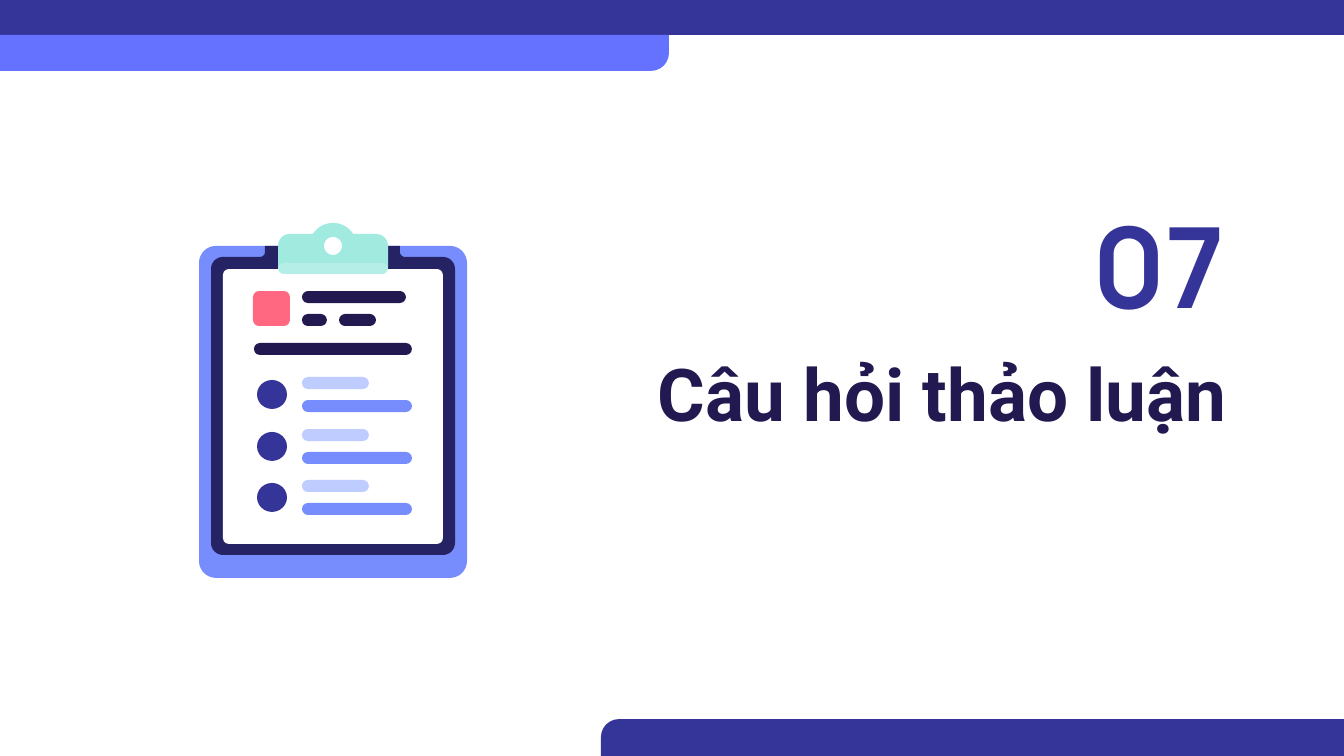
"""Build the section slide "Câu hỏi thảo luận" with its clipboard drawing."""
from dataclasses import dataclass
from math import cos, radians, sin

from lxml import etree
from pptx import Presentation
from pptx.dml.color import RGBColor
from pptx.enum.shapes import MSO_SHAPE
from pptx.enum.text import MSO_ANCHOR, MSO_AUTO_SIZE, PP_ALIGN
from pptx.oxml.ns import qn
from pptx.util import Emu, Pt

RECTANGLE = MSO_SHAPE.RECTANGLE
ROUNDED = MSO_SHAPE.ROUNDED_RECTANGLE
ONE_ROUND = MSO_SHAPE.ROUND_1_RECTANGLE
OVAL = MSO_SHAPE.OVAL
TOP, MIDDLE = MSO_ANCHOR.TOP, MSO_ANCHOR.MIDDLE
RIGHT = PP_ALIGN.RIGHT
NO_AUTOFIT = MSO_AUTO_SIZE.NONE

EMU_PER_PX = 914400 / 134.4
INDIGO, VIOLET, INK, NAVY = "353599", "6571FF", "21194F", "262365"
BLUE, PALE_BLUE, MINT, CORAL, WHITE = "778DFD", "BECCFF", "A1EAE0", "FF6880", "FFFFFF"
STROKE = 12
ROW_TOPS = (377, 429, 480)


@dataclass(frozen=True)
class Box:
    """A rectangle in px."""
    left: int
    top: int
    width: int
    height: int


@dataclass(frozen=True)
class Stroke:
    """A round-ended line of writing on the sheet."""
    left: int
    top: int
    width: int
    color: str


@dataclass(frozen=True)
class Heading:
    """The place and look of one heading."""
    text: str
    box: Box
    font: str
    size: int
    color: str
    anchor: MSO_ANCHOR


HEADINGS = (
    Heading("Câu hỏi thảo luận", Box(569, 335, 671, 224), "Roboto", 39, INK, TOP),
    Heading("07", Box(1055, 198, 184, 132), "Manrope", 60, INDIGO, MIDDLE),
)
HEADER_STROKES = (
    Stroke(302, 291, 104, INK),
    Stroke(254, 343, 158, INK),
    Stroke(302, 314, 25, INK),
    Stroke(339, 314, 37, INK),
)


def px(length: float) -> Emu:
    """Turn px into EMU."""
    return Emu(round(length * EMU_PER_PX))


def paint(shape, color: str) -> None:
    """Give a shape a flat fill without line or shadow."""
    shape.fill.solid()
    shape.fill.fore_color.rgb = RGBColor.from_string(color)
    shape.line.fill.background()
    shape.shadow.inherit = False


def add_preset(slide, kind: MSO_SHAPE, box: Box, color: str, radius: int = 0):
    """Draw a preset shape with an optional corner radius."""
    shape = slide.shapes.add_shape(
        kind, px(box.left), px(box.top), px(box.width), px(box.height))
    if radius:
        shape.adjustments[0] = min(0.5, radius / min(box.width, box.height))
    paint(shape, color)
    return shape


def add_band(slide, box: Box, color: str, rotation: int) -> None:
    """Draw a band with one round corner, turned to lie in the box."""
    shift = (box.width - box.height) // 2
    upright = Box(box.left + shift, box.top - shift, box.height, box.width)
    add_preset(slide, ONE_ROUND, upright, color, box.height // 2).rotation = rotation


def add_stroke(slide, stroke: Stroke) -> None:
    """Draw one line of writing."""
    box = Box(stroke.left, stroke.top, stroke.width, STROKE)
    add_preset(slide, ROUNDED, box, stroke.color, STROKE // 2)


def arc(x: int, y: int, radius: int, start: int, end: int) -> list[tuple[float, float]]:
    """Return points of an arc, with angles running clockwise from the right."""
    steps = max(8, abs(end - start) // 8)
    angles = [radians(start + (end - start) * i / steps) for i in range(steps + 1)]
    return [(x + radius * cos(a), y + radius * sin(a)) for a in angles]


def add_outline(slide, color: str, *contours: list[tuple[float, float]]) -> None:
    """Draw a filled freeform; contours after the first are holes."""
    scaled = [[(px(x), px(y)) for x, y in contour] for contour in contours]
    builder = slide.shapes.build_freeform(*scaled[0][0])
    for index, contour in enumerate(scaled):
        if index:
            builder.move_to(*contour[0])
        builder.add_line_segments(contour[1:], close=True)
    paint(builder.convert_to_shape(), color)


def add_clipboard(slide) -> None:
    """Draw the board, its frame, the sheet and the clip."""
    notch = arc(333, 246, 17, 180, 0)
    add_outline(slide, BLUE, (
        arc(216, 263, 17, 180, 270) + notch + arc(450, 263, 17, 270, 360)
        + arc(450, 561, 17, 0, 90) + arc(216, 561, 17, 90, 180)))
    add_outline(slide, NAVY, (
        arc(223, 269, 12, 180, 270) + arc(260, 252, 5, 90, 0) + [(265, 246)]
        + notch + [(400, 246)] + arc(405, 252, 5, 180, 90)
        + arc(443, 269, 12, 270, 360) + arc(443, 543, 12, 0, 90)
        + arc(223, 543, 12, 90, 180)))
    add_preset(slide, ROUNDED, Box(223, 269, 220, 275), WHITE, 6)
    add_outline(slide, MINT, (
        arc(290, 246, 12, 180, 270) + arc(333, 247, 24, 213, 327)
        + arc(376, 246, 12, 270, 360) + arc(382, 268, 6, 0, 90)
        + arc(284, 268, 6, 90, 180)), arc(333, 246, 9, 360, 0))
    gloss = add_preset(slide, ROUNDED, Box(278, 263, 110, 11), WHITE, 6)
    fill_color = gloss.element.find(".//" + qn("a:srgbClr"))
    etree.SubElement(fill_color, qn("a:alpha"), val="21000")


def add_writing(slide) -> None:
    """Draw the header and the three list rows on the sheet."""
    add_preset(slide, ROUNDED, Box(253, 291, 37, 35), CORAL, 6)
    for stroke in HEADER_STROKES:
        add_stroke(slide, stroke)
    for top in ROW_TOPS:
        add_preset(slide, OVAL, Box(257, top + 3, 30, 29), INDIGO)
        add_stroke(slide, Stroke(302, top, 67, PALE_BLUE))
        add_stroke(slide, Stroke(302, top + 23, 110, BLUE))


def fill_heading(placeholder, heading: Heading) -> None:
    """Move, fill and format a heading placeholder."""
    box = heading.box
    placeholder.left, placeholder.top = px(box.left), px(box.top)
    placeholder.width, placeholder.height = px(box.width), px(box.height)
    frame = placeholder.text_frame
    frame.text = heading.text
    frame.word_wrap = True
    frame.auto_size = NO_AUTOFIT
    frame.vertical_anchor = heading.anchor
    frame.margin_left = frame.margin_right = Emu(91440)
    frame.margin_top = frame.margin_bottom = Emu(91440)
    paragraph = frame.paragraphs[0]
    paragraph.alignment = RIGHT
    paragraph.space_before = Pt(0)
    paragraph.font.name = heading.font
    paragraph.font.size = Pt(heading.size)
    paragraph.font.bold = True
    paragraph.font.color.rgb = RGBColor.from_string(heading.color)


def main() -> None:
    """Build and save the slide."""
    deck = Presentation()
    deck.slide_width, deck.slide_height = px(1344), px(756)
    slide = deck.slides.add_slide(deck.slide_layouts[0])
    add_preset(slide, RECTANGLE, Box(0, 0, 1344, 35), INDIGO)
    add_band(slide, Box(-1, 35, 670, 36), VIOLET, 90)
    add_band(slide, Box(601, 719, 743, 37), INDIGO, 270)
    for placeholder, heading in zip(slide.placeholders, HEADINGS):
        fill_heading(placeholder, heading)
    add_clipboard(slide)
    add_writing(slide)
    deck.save("out.pptx")


if __name__ == "__main__":
    main()
